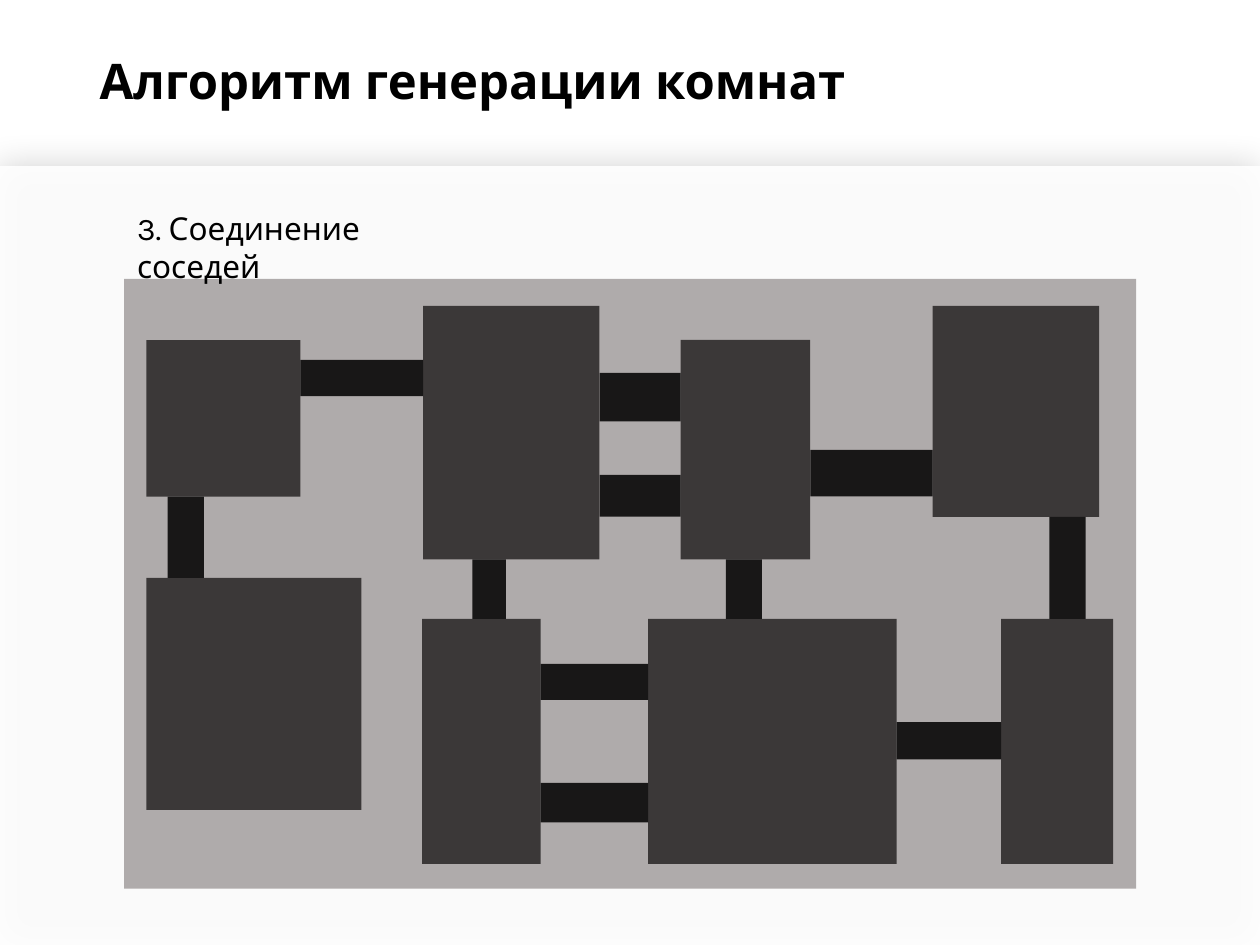
from dataclasses import dataclass

from lxml.etree import SubElement
from pptx import Presentation
from pptx.dml.color import RGBColor
from pptx.enum.shapes import MSO_SHAPE
from pptx.enum.text import MSO_ANCHOR, PP_ALIGN
from pptx.oxml.ns import qn
from pptx.util import Pt


@dataclass(frozen=True)
class Theme:
    """Hold the colours, font and type sizes of the slide."""
    font: str = "Karla"
    text: str = "000000"
    panel: str = "FFFFFF"
    floor: str = "AFABAB"
    room: str = "3B3838"
    corridor: str = "181717"
    shadow: str = "000000"
    panel_opacity: int = 90
    shadow_opacity: int = 20
    title_size: int = 28
    caption_size: int = 18


THEME = Theme()
SLIDE_BOX = (0, 0, 720, 540)
PANEL_BOX = (0, 95, 720, 445)
TITLE_BOX = (49.7, 28.1, 620.6, 38.9)
CAPTION_BOX = (71.2, 116, 207.4, 28.8)
MAP_BOX = (71, 159.4, 578.2, 348.5)

ROOMS = {
    "closet": (12.7, 34.9, 88, 89.5),
    "hall": (170.8, 15.4, 100.8, 144.9),
    "study": (318, 34.9, 74, 125.4),
    "library": (462, 15.4, 95.1, 120.6),
    "cellar": (12.7, 170.9, 122.9, 132.5),
    "gallery": (170.2, 194.3, 67.8, 140),
    "kitchen": (299.4, 194.3, 142, 140),
    "pantry": (501.1, 194.3, 64, 140),
}
ACROSS = [
    ("closet", "hall", 46.3, 20.6),
    ("hall", "study", 53.7, 27.7),
    ("hall", "study", 112, 23.8),
    ("study", "library", 97.7, 26.6),
    ("gallery", "kitchen", 220, 20.6),
    ("gallery", "kitchen", 288, 22.6),
    ("kitchen", "pantry", 253.2, 21.4),
]
DOWN = [
    ("closet", "cellar", 24.8, 20.7),
    ("hall", "gallery", 198.9, 19.2),
    ("study", "kitchen", 343.8, 20.6),
    ("library", "pantry", 528.7, 20.7),
]


def add_block(slide, box, color):
    """Add a plain filled rectangle."""
    shape = slide.shapes.add_shape(MSO_SHAPE.RECTANGLE, *map(Pt, box))
    shape.shadow.inherit = False
    shape.fill.solid()
    shape.fill.fore_color.rgb = RGBColor.from_string(color)
    shape.line.fill.background()
    return shape


def set_opacity(color_element, percent):
    """Give a colour element an opacity."""
    SubElement(color_element, qn("a:alpha"), val=str(percent * 1000))


def add_panel(slide, box, layer, shadow_blur=0):
    """Add a translucent panel at a given layer, with an optional soft shadow."""
    shape = add_block(slide, box, THEME.panel)
    properties = shape._element.spPr
    set_opacity(properties.find(qn("a:solidFill")).find(qn("a:srgbClr")), THEME.panel_opacity)
    if shadow_blur:
        shadow = SubElement(properties.find(qn("a:effectLst")), qn("a:outerShdw"),
                            blurRad=str(Pt(shadow_blur)), dist="0", dir="0",
                            algn="ctr", rotWithShape="0")
        set_opacity(SubElement(shadow, qn("a:srgbClr"), val=THEME.shadow), THEME.shadow_opacity)
    slide.shapes._spTree.insert(2 + layer, shape._element)


def write_text(shape, text, size, bold=False):
    """Write one left-aligned run in a shape and return its paragraph."""
    shape.text_frame.word_wrap = True
    paragraph = shape.text_frame.paragraphs[0]
    paragraph.alignment = PP_ALIGN.LEFT
    run = paragraph.add_run()
    run.text = text
    run.font.name = THEME.font
    run.font.size = Pt(size)
    run.font.bold = bold
    run.font.color.rgb = RGBColor.from_string(THEME.text)
    return paragraph


def place_title(slide, box, text):
    """Move, fill and format the title placeholder."""
    title = slide.shapes.title
    title.left, title.top, title.width, title.height = map(Pt, box)
    title.text_frame.vertical_anchor = MSO_ANCHOR.MIDDLE
    write_text(title, text, THEME.title_size, bold=True).line_spacing = 0.9


def place_caption(slide, box, text):
    """Add the name of the step above the map."""
    write_text(slide.shapes.add_textbox(*map(Pt, box)), text, THEME.caption_size)


def corridor_across(first, second, top, thickness):
    """Return the box that joins two rooms side by side."""
    start = ROOMS[first][0] + ROOMS[first][2]
    return start, top, ROOMS[second][0] - start, thickness


def corridor_down(first, second, left, thickness):
    """Return the box that joins a room to the one below it."""
    start = ROOMS[first][1] + ROOMS[first][3]
    return left, start, thickness, ROOMS[second][1] - start


def place_map(slide, box):
    """Draw the floor, its rooms and the corridors between neighbours."""
    add_block(slide, box, THEME.floor)
    corridors = [corridor_across(*link) for link in ACROSS]
    corridors += [corridor_down(*link) for link in DOWN]
    for boxes, color in ((ROOMS.values(), THEME.room), (corridors, THEME.corridor)):
        for left, top, width, height in boxes:
            add_block(slide, (box[0] + left, box[1] + top, width, height), color)


def main():
    """Build and save the presentation."""
    presentation = Presentation()
    presentation.slide_width, presentation.slide_height = map(Pt, SLIDE_BOX[2:])
    slide = presentation.slides.add_slide(presentation.slide_layouts[5])
    add_panel(slide, SLIDE_BOX, 0)
    add_panel(slide, PANEL_BOX, 1, shadow_blur=20)
    place_title(slide, TITLE_BOX, "Алгоритм генерации комнат")
    place_map(slide, MAP_BOX)
    place_caption(slide, CAPTION_BOX, "3. Соединение соседей")
    presentation.save("out.pptx")


if __name__ == "__main__":
    main()
